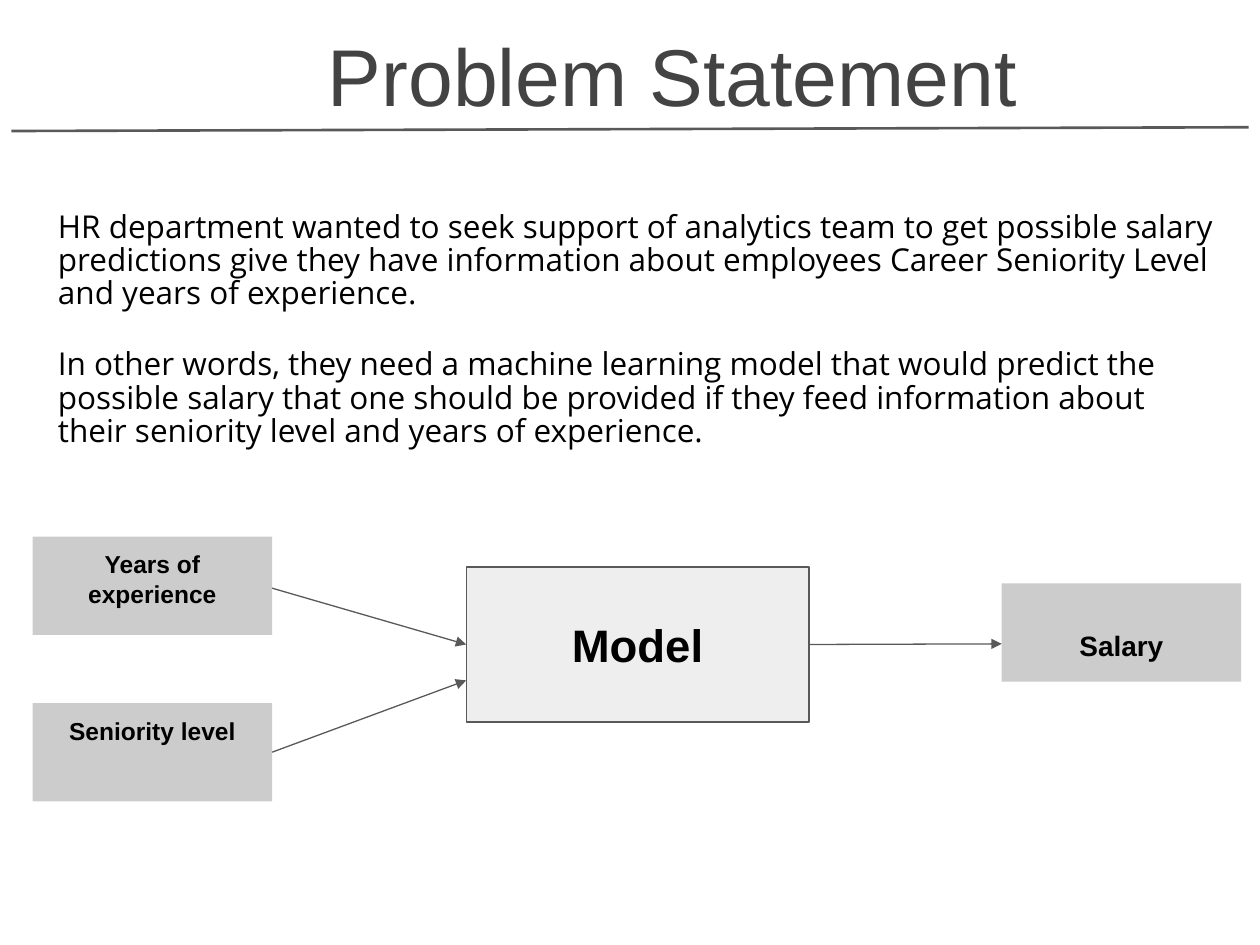
from dataclasses import dataclass
from typing import Optional

from pptx import Presentation
from pptx import util as u
from pptx.dml.color import RGBColor
from pptx.enum import shapes, text
from pptx.oxml.ns import qn
from lxml import etree

COLORS = {
    "title": "434343",
    "ink": "000000",
    "line": "595959",
    "node": "CCCCCC",
    "model": "EEEEEE",
}
INSET = 0.1


@dataclass
class Node:
    label: str
    left: float
    top: float
    size: int
    width: float = 1.9
    height: float = 0.78
    fill: str = "node"
    outline: Optional[str] = None
    anchor: text.MSO_ANCHOR = text.MSO_ANCHOR.TOP
    top_inset: float = INSET


@dataclass
class Line:
    start: tuple[float, float]
    end: tuple[float, float]
    width: float = 0.75
    arrow: bool = True


def color(name: str) -> RGBColor:
    return RGBColor.from_string(COLORS[name])


def place(shape, left: float, top: float, width: float, height: float) -> None:
    shape.left, shape.top = u.Inches(left), u.Inches(top)
    shape.width, shape.height = u.Inches(width), u.Inches(height)


def set_frame(frame, anchor: text.MSO_ANCHOR, top_inset: float = INSET) -> None:
    frame.word_wrap = True
    frame.auto_size = text.MSO_AUTO_SIZE.NONE
    frame.vertical_anchor = anchor
    frame.margin_left = frame.margin_right = frame.margin_bottom = u.Inches(INSET)
    frame.margin_top = u.Inches(top_inset)


def add_span(para, words: str, size: int, ink: str = "ink",
             font: str = "Arial", bold: bool = False) -> None:
    span = para.add_run()
    span.text = words
    span.font.name, span.font.size, span.font.bold = font, u.Pt(size), bold
    span.font.color.rgb = color(ink)


def set_indent(para, left: float) -> None:
    properties = para._p.get_or_add_pPr()
    properties.set("marL", str(u.Inches(left)))
    properties.set("indent", "0")


def add_node(page, node: Node):
    box = page.shapes.add_shape(
        shapes.MSO_SHAPE.RECTANGLE, u.Inches(node.left), u.Inches(node.top),
        u.Inches(node.width), u.Inches(node.height))
    box.shadow.inherit = False
    box.fill.solid()
    box.fill.fore_color.rgb = color(node.fill)
    if node.outline:
        box.line.color.rgb = color(node.outline)
        box.line.width = u.Pt(0.75)
    else:
        box.line.fill.background()
    set_frame(box.text_frame, node.anchor, node.top_inset)
    para = box.text_frame.paragraphs[0]
    para.alignment = text.PP_ALIGN.CENTER
    add_span(para, node.label, node.size, bold=True)
    return box


def add_line(page, line: Line):
    connector = page.shapes.add_connector(
        shapes.MSO_CONNECTOR.STRAIGHT,
        *(u.Inches(value) for value in line.start + line.end))
    connector.line.color.rgb = color("line")
    connector.line.width = u.Pt(line.width)
    if line.arrow:
        etree.SubElement(connector.line._get_or_add_ln(), qn("a:tailEnd"), type="triangle")
    etree.SubElement(connector._element.spPr, qn("a:effectLst"))
    return connector


def add_title(page, words: str) -> None:
    title = page.shapes.title
    place(title, 0.26, 0.19, 9.65, 0.88)
    set_frame(title.text_frame, text.MSO_ANCHOR.BOTTOM)
    para = title.text_frame.paragraphs[0]
    para.alignment = text.PP_ALIGN.CENTER
    set_indent(para, 0.5)
    add_span(para, words, 46, "title")


def add_body(page, paragraphs: list[str]) -> None:
    body = page.placeholders[1]
    place(body, 0.36, 1.26, 9.4, 6.08)
    frame = body.text_frame
    set_frame(frame, text.MSO_ANCHOR.TOP, 0.42)
    for index, words in enumerate(paragraphs):
        para = frame.add_paragraph() if index else frame.paragraphs[0]
        para.alignment = text.PP_ALIGN.LEFT
        para.line_spacing = 0.88
        para.space_before = u.Pt(21.6 if index else 0)
        set_indent(para, 0)
        etree.SubElement(para._p.get_or_add_pPr(), qn("a:buNone"))
        add_span(para, words, 18, font="Open Sans")


def main() -> None:
    deck = Presentation()
    deck.slide_width, deck.slide_height = u.Inches(10), u.Inches(7.5)
    page = deck.slides.add_slide(deck.slide_layouts[1])

    # Heading and its rule
    add_title(page, "Problem Statement")
    add_line(page, Line((0.09, 1.04), (9.91, 1.01), width=1.5, arrow=False))

    # Explanation
    add_body(page, [
        "HR department wanted to seek support of analytics team to get possible "
        "salary predictions give they have information about employees Career "
        "Seniority Level and years of experience.",
        "In other words, they need a machine learning model that would predict "
        "the possible salary that one should be provided if they feed "
        "information about their seniority level and years of experience.",
    ])

    # Model
    model = add_node(page, Node("Model", 3.7, 4.5, 26, 2.72, 1.23, "model", "line",
                                text.MSO_ANCHOR.MIDDLE))

    # Inputs; the first arrow starts underneath its box
    years_arrow = add_line(page, Line((1.89, 4.59), (3.7, 5.11)))
    years_arrow.end_connect(model, 1)
    add_node(page, Node("Years of experience", 0.26, 4.26, 14))
    seniority = add_node(page, Node("Seniority level", 0.26, 5.58, 14))
    seniority_arrow = add_line(page, Line((2.16, 5.97), (3.7, 5.4)))
    seniority_arrow.begin_connect(seniority, 3)

    # Output
    add_node(page, Node("Salary", 7.95, 4.63, 16, top_inset=0.36))
    salary_arrow = add_line(page, Line((6.42, 5.11), (7.95, 5.11)))
    salary_arrow.begin_connect(model, 3)

    deck.save("out.pptx")


if __name__ == "__main__":
    main()
